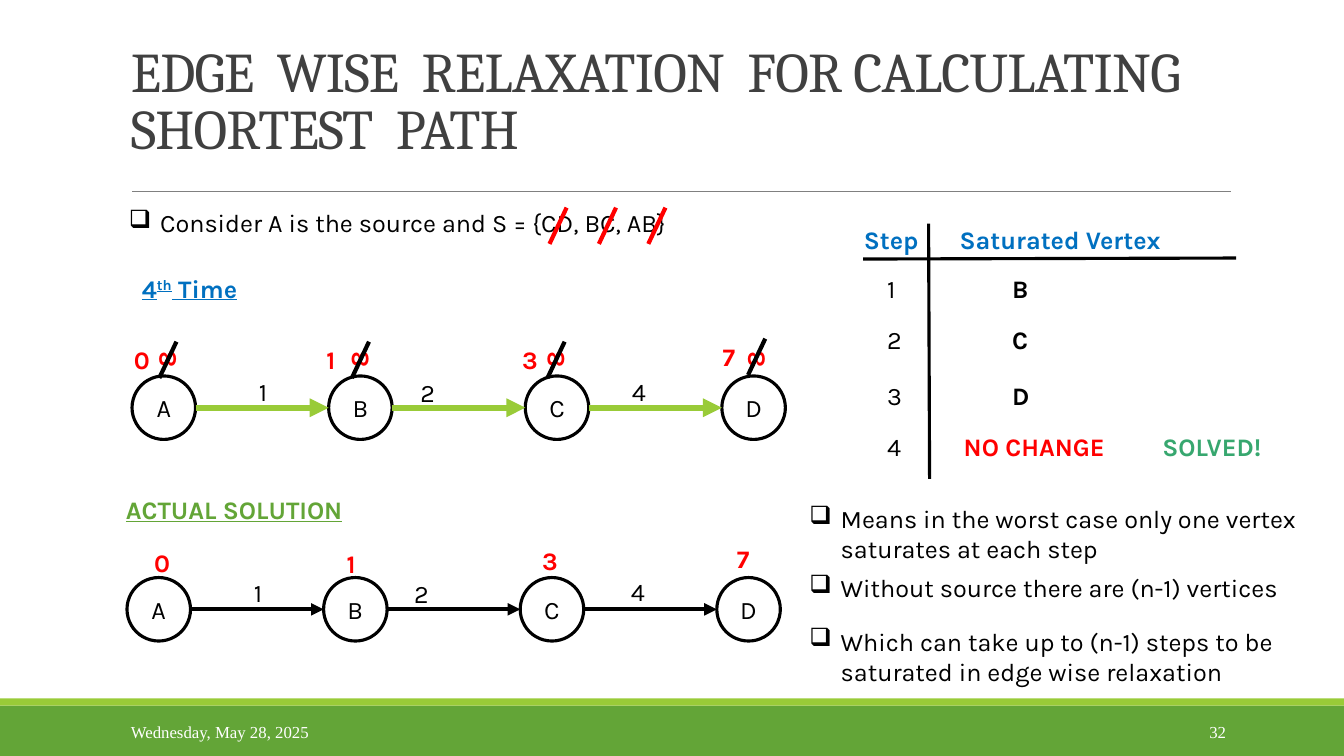
from dataclasses import dataclass

from lxml import etree
from pptx import Presentation
from pptx.dml.color import RGBColor
from pptx.enum.shapes import MSO_CONNECTOR, MSO_SHAPE
from pptx.enum.text import MSO_ANCHOR, MSO_AUTO_SIZE, PP_ALIGN
from pptx.oxml.ns import qn
from pptx.shapes.autoshape import Shape
from pptx.slide import Slide
from pptx.text.text import TextFrame
from pptx.util import Inches, Pt

STRAIGHT = MSO_CONNECTOR.STRAIGHT
RECTANGLE, OVAL = MSO_SHAPE.RECTANGLE, MSO_SHAPE.OVAL
TOP, MIDDLE, BOTTOM = MSO_ANCHOR.TOP, MSO_ANCHOR.MIDDLE, MSO_ANCHOR.BOTTOM
LEFT, CENTER, RIGHT = PP_ALIGN.LEFT, PP_ALIGN.CENTER, PP_ALIGN.RIGHT
FIT_SHAPE, NO_FIT = MSO_AUTO_SIZE.SHAPE_TO_FIT_TEXT, MSO_AUTO_SIZE.NONE

BLACK = RGBColor(0x00, 0x00, 0x00)
WHITE = RGBColor(0xFF, 0xFF, 0xFF)
CHARCOAL = RGBColor(0x40, 0x40, 0x40)
GRAY = RGBColor(0x80, 0x80, 0x80)
RED = RGBColor(0xFF, 0x00, 0x00)
BLUE = RGBColor(0x00, 0x70, 0xC0)
GREEN = RGBColor(0x63, 0xA5, 0x37)
LIME = RGBColor(0x99, 0xCB, 0x38)
TEAL = RGBColor(0x37, 0xA7, 0x6F)

NODE_SIZE = 0.63
NODE_PITCH = 1.95
TEXT_HEIGHT = 0.4
DIGIT_WIDTH = 0.34


@dataclass(frozen=True)
class Label:
    text: str
    left: float
    top: float


@dataclass(frozen=True)
class Graph:
    left: float
    top: float
    edge_color: RGBColor
    edge_width: float
    weights: tuple[Label, ...]
    distances: tuple[Label, ...]


@dataclass(frozen=True)
class Step:
    number: str
    top: float
    result: str
    left: float = 9.94
    width: float = 0.38
    color: RGBColor = BLACK


RELAXED = Graph(
    1.31, 3.73, LIME, 4.5,
    (Label("1", 2.47, 3.68), Label("2", 4.07, 3.69), Label("4", 6.17, 3.68)),
    (Label("0", 1.23, 3.37), Label("1", 3.14, 3.37),
     Label("3", 5.08, 3.37), Label("7", 7.07, 3.34)),
)
SOLUTION = Graph(
    1.26, 5.73, BLACK, 3,
    (Label("1", 2.42, 5.68), Label("2", 4.01, 5.69), Label("4", 6.16, 5.67)),
    (Label("0", 1.43, 5.38), Label("1", 3.34, 5.39),
     Label("3", 5.28, 5.36), Label("7", 7.21, 5.34)),
)
STEPS = (
    Step("1", 2.66, "B"),
    Step("2", 3.17, "C"),
    Step("3", 3.72, "D"),
    Step("4", 4.23, "NO CHANGE", 9.46, 1.74, RED),
)
CONCLUSIONS = (
    (4.94, 0.71, "Means in the worst case only one vertex saturates at each step"),
    (5.63, 0.4, "Without source there are (n-1) vertices"),
    (6.16, 0.71, "Which can take up to (n-1) steps to be saturated in edge wise relaxation"),
)


def write(frame: TextFrame, text: str, *, font: str = "Karla", size: float = 18,
          color: RGBColor = BLACK, bold: bool = False, underline: bool = False,
          align: PP_ALIGN = LEFT, bullet: bool = False, line_spacing: float = 1.0,
          tracking: float = 0) -> None:
    paragraph = frame.paragraphs[0]
    paragraph.alignment = align
    paragraph.line_spacing = line_spacing
    if bullet:
        properties = paragraph._p.get_or_add_pPr()
        properties.set("marL", str(Inches(0.31)))
        properties.set("indent", str(Inches(-0.31)))
        etree.SubElement(properties, qn("a:buChar")).set("char", "❑")
    for index, part in enumerate(text.split("^")):
        run = paragraph.add_run()
        run.text = part
        run.font.name = font
        run.font.size = Pt(size)
        run.font.bold = bold
        run.font.underline = underline
        run.font.color.rgb = color
        if index % 2:
            run._r.get_or_add_rPr().set("baseline", "30000")
        if tracking:
            run._r.get_or_add_rPr().set("spc", str(round(tracking * 100)))


def add_text(slide: Slide, text: str, left: float, top: float, width: float,
             height: float = TEXT_HEIGHT, *, wrap: bool = False, fit: bool = True,
             anchor: MSO_ANCHOR = TOP, rotation: float = 0, **style) -> None:
    box = slide.shapes.add_textbox(Inches(left), Inches(top), Inches(width), Inches(height))
    box.rotation = rotation
    frame = box.text_frame
    frame.word_wrap = wrap
    frame.auto_size = FIT_SHAPE if fit else NO_FIT
    frame.vertical_anchor = anchor
    write(frame, text, **style)


def add_line(slide: Slide, start: tuple[float, float], end: tuple[float, float],
             color: RGBColor, width: float, arrow: bool = False) -> None:
    line = slide.shapes.add_connector(STRAIGHT, *map(Inches, start + end))
    line.line.color.rgb = color
    line.line.width = Pt(width)
    if arrow:
        etree.SubElement(line.line._get_or_add_ln(), qn("a:tailEnd")).set("type", "triangle")
    etree.SubElement(line._element.spPr, qn("a:effectLst"))


def add_filled(slide: Slide, kind: MSO_SHAPE, left: float, top: float,
               width: float, height: float, fill: RGBColor) -> Shape:
    shape = slide.shapes.add_shape(kind, Inches(left), Inches(top), Inches(width), Inches(height))
    shape.shadow.inherit = False
    shape.fill.solid()
    shape.fill.fore_color.rgb = fill
    shape.line.fill.background()
    return shape


def add_strike(slide: Slide, left: float, top: float, color: RGBColor) -> None:
    add_line(slide, (left + 0.17, top), (left, top + 0.36), color, 3)


def add_graph(slide: Slide, graph: Graph) -> None:
    middle = graph.top + NODE_SIZE / 2
    for index, name in enumerate("ABCD"):
        left = graph.left + index * NODE_PITCH
        node = add_filled(slide, OVAL, left, graph.top, NODE_SIZE, NODE_SIZE, WHITE)
        node.line.color.rgb = BLACK
        node.line.width = Pt(2.25)
        frame = node.text_frame
        frame.margin_left = frame.margin_right = 0
        frame.vertical_anchor = MIDDLE
        write(frame, name, align=CENTER)
        if index:
            add_line(slide, (left - NODE_PITCH + NODE_SIZE, middle), (left, middle),
                     graph.edge_color, graph.edge_width, arrow=True)
    for weight in graph.weights:
        add_text(slide, weight.text, weight.left, weight.top, DIGIT_WIDTH)
    for distance in graph.distances:
        add_text(slide, distance.text, distance.left, distance.top, DIGIT_WIDTH,
                 color=RED, bold=True)


def add_struck_infinities(slide: Slide, graph: Graph) -> None:
    for distance in graph.distances:
        add_text(slide, "8", distance.left + 0.26, 3.39, 0.31, wrap=True, rotation=270,
                 color=RED, bold=True)
        add_strike(slide, distance.left + 0.35, distance.top + 0.02, BLACK)


def add_step_table(slide: Slide) -> None:
    add_line(slide, (8.56, 2.57), (12.26, 2.56), BLACK, 2.25)
    add_line(slide, (9.21, 2.22), (9.22, 4.75), BLACK, 2.25)
    add_text(slide, "Step", 8.47, 2.18, 0.75, color=BLUE, bold=True)
    add_text(slide, "Saturated Vertex", 9.42, 2.18, 2.4, color=BLUE, bold=True)
    for step in STEPS:
        add_text(slide, step.number, 8.7, step.top, DIGIT_WIDTH)
        add_text(slide, step.result, step.left, step.top, step.width,
                 color=step.color, bold=True)
    add_text(slide, "SOLVED!", 11.43, 4.23, 1.31, color=TEAL, bold=True)


def main() -> None:
    deck = Presentation()
    deck.slide_width, deck.slide_height = Inches(13.33), Inches(7.5)
    slide = deck.slides.add_slide(deck.slide_layouts[6])

    add_filled(slide, RECTANGLE, 0, 7, 13.33, 0.5, GREEN)
    add_filled(slide, RECTANGLE, 0, 6.93, 13.33, 0.07, LIME)
    add_line(slide, (1.31, 1.9), (12.21, 1.9), GRAY, 0.5)
    add_text(slide, "EDGE  WISE  RELAXATION  FOR CALCULATING  SHORTEST  PATH",
             1.2, 0.06, 11, 1.59, wrap=True, fit=False, anchor=BOTTOM,
             font="Cambria", size=40, color=CHARCOAL, line_spacing=0.85, tracking=-0.5)
    footer = dict(wrap=True, fit=False, anchor=MIDDLE, font="Times New Roman",
                  size=12, color=WHITE)
    add_text(slide, "Wednesday, May 28, 2025", 1.2, 7.06, 2.7, **footer)
    add_text(slide, "32", 10.83, 7.06, 1.43, align=RIGHT, **footer)

    add_text(slide, "Consider A is the source and S = {CD, BC, AB}", 1.18, 2.01, 5.74, bullet=True)
    for index in range(3):
        add_strike(slide, 5.45 + index * 0.49, 2.06, RED)

    add_text(slide, "4^th^ Time", 1.31, 2.66, 1.16, color=BLUE, bold=True, underline=True)
    add_graph(slide, RELAXED)
    add_struck_infinities(slide, RELAXED)
    add_text(slide, "ACTUAL SOLUTION", 1.15, 4.86, 2.61, color=GREEN, bold=True, underline=True)
    add_graph(slide, SOLUTION)

    add_step_table(slide)
    for top, height, conclusion in CONCLUSIONS:
        add_text(slide, conclusion, 7.93, top, 5.41, height, wrap=True, bullet=True)

    deck.save("out.pptx")


if __name__ == "__main__":
    main()
